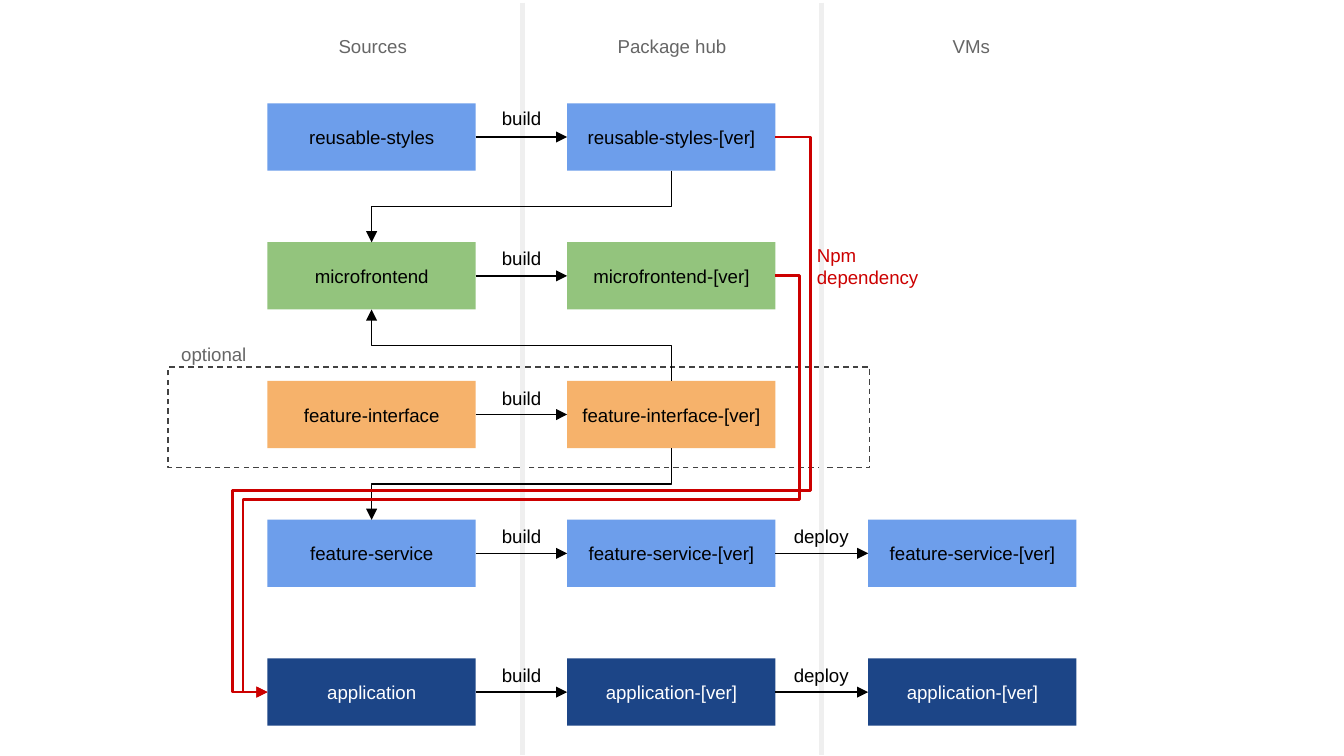
import pptx
import pptx.util
import pptx.dml.color
import pptx.enum.dml
import pptx.enum.shapes
import pptx.enum.text
import pptx.oxml
import pptx.oxml.ns

Inches = pptx.util.Inches
Shapes = pptx.enum.shapes.MSO_SHAPE
Connectors = pptx.enum.shapes.MSO_CONNECTOR
Align = pptx.enum.text.PP_ALIGN
Anchor = pptx.enum.text.MSO_ANCHOR
qn = pptx.oxml.ns.qn

COLORS = {
    "blue": "6D9EEB", "green": "93C47D", "orange": "F6B26B", "navy": "1C4587",
    "black": "000000", "white": "FFFFFF", "gray": "666666",
    "frame": "424242", "divider": "EFEFEF", "red": "CC0000",
}
TOP, BOTTOM, LEFT, RIGHT = 0, 2, 1, 3
COLUMNS = [1.99, 4.22, 6.46]
BOX_WIDTH, BOX_HEIGHT = 1.55, 0.5
FIRST_ROW, LAST_ROW = 0.77, 4.9
STAGES = [
    # name, fill, text colour, number of columns, drop of the step labels
    ("reusable-styles", "blue", "black", 2, 0),
    ("microfrontend", "green", "black", 2, 0.01),
    ("feature-interface", "orange", "black", 2, 0.02),
    ("feature-service", "blue", "black", 3, 0.01),
    ("application", "navy", "white", 3, 0.01),
]
STEPS = ["build", "deploy"]


def rgb(name):
    return pptx.dml.color.RGBColor.from_string(COLORS[name])


def write(shape, text, color, align=Align.CENTER, anchor=Anchor.MIDDLE):
    frame = shape.text_frame
    frame.auto_size = pptx.enum.text.MSO_AUTO_SIZE.NONE
    frame.word_wrap = True
    frame.vertical_anchor = anchor
    frame.margin_left = frame.margin_right = Inches(0.1)
    frame.margin_top = frame.margin_bottom = Inches(0.1)
    para = frame.paragraphs[0]
    para.alignment = align
    span = para.add_run()
    span.text = text
    span.font.name = "Arial"
    span.font.size = pptx.util.Pt(10)
    span.font.color.rgb = rgb(color)


def add_label(page, box, text, color, **layout):
    write(page.shapes.add_textbox(*map(Inches, box)), text, color, **layout)


def add_box(page, box, text, fill, color):
    shape = page.shapes.add_shape(Shapes.RECTANGLE, *map(Inches, box))
    shape.shadow.inherit = False
    shape.fill.solid()
    shape.fill.fore_color.rgb = rgb(fill)
    shape.line.fill.background()
    write(shape, text, color)
    return shape


def add_line(page, kind, ends, color, weight, arrow=None):
    """Add a connector; arrow is None, "headEnd" (start) or "tailEnd" (finish)."""
    line = page.shapes.add_connector(kind, *ends)
    line.line.color.rgb = rgb(color)
    line.line.width = pptx.util.Pt(weight)
    properties = line.element.spPr
    if arrow:
        tip = pptx.oxml.parse_xml(
            f'<a:{arrow} {pptx.oxml.ns.nsdecls("a")} type="triangle"/>')
        properties.find(qn("a:ln")).append(tip)
    properties.append(pptx.oxml.parse_xml(
        f'<a:effectLst {pptx.oxml.ns.nsdecls("a")}/>'))
    return line


def join(page, kind, start, start_side, end, end_side, color="black",
         weight=0.75, arrow="tailEnd"):
    line = add_line(page, kind, (0, 0, 0, 0), color, weight, arrow)
    line.begin_connect(start, start_side)
    line.end_connect(end, end_side)
    return line


def join_down(page, upper, lower, arrow="tailEnd"):
    """Bend from the bottom of one box to the top of a lower one."""
    line = join(page, Connectors.ELBOW, upper, BOTTOM, lower, TOP, arrow=arrow)
    goes_right = line.end_x > line.begin_x
    center_x = (line.begin_x + line.end_x) // 2
    center_y = (line.begin_y + line.end_y) // 2
    across, down = line.width, line.height
    line.left, line.top = center_x - down // 2, center_y - across // 2
    line.width, line.height = down, across
    frame = line.element.spPr.find(qn("a:xfrm"))
    frame.set("rot", str((270 if goes_right else 90) * 60000))
    frame.set("flipH", "1" if goes_right else "0")


def join_around(page, start, end, lane, crossing):
    """Loop from a right side to a left side, lane inches clear of both."""
    line = join(page, Connectors.ELBOW, start, RIGHT, end, LEFT, "red", 1.5)
    side = Inches(lane) / line.width
    middle = (Inches(crossing) - line.begin_y) / line.height
    geometry = line.element.spPr.find(qn("a:prstGeom"))
    geometry.set("prst", "bentConnector5")
    guides = geometry.get_or_add_avLst()
    for number, value in enumerate((-side, middle, 1 + side), 1):
        guides.append(pptx.oxml.parse_xml(
            f'<a:gd {pptx.oxml.ns.nsdecls("a")} name="adj{number}" '
            f'fmla="val {round(value * 100000)}"/>'))


def add_columns(page, box):
    """Headings over equal columns, with a divider between neighbours."""
    left, top, width, height = box
    names = ["Sources", "Package hub", "VMs"]
    step = width / len(names)
    for index, name in enumerate(names):
        x = left + index * step
        if index:
            ends = map(Inches, (x, top, x, top + height))
            add_line(page, Connectors.STRAIGHT, ends, "divider", 3)
        add_label(page, (x, top + 0.18, step, 0.28), name, "gray")


def add_optional_frame(page, box):
    left, top, width, height = box
    frame = page.shapes.add_shape(Shapes.RECTANGLE, *map(Inches, box))
    frame.shadow.inherit = False
    frame.fill.background()
    frame.line.color.rgb = rgb("frame")
    frame.line.width = pptx.util.Pt(0.75)
    frame.line.dash_style = pptx.enum.dml.MSO_LINE.DASH
    add_label(page, (left, top - 0.28, 0.81, 0.28), "optional", "gray",
              align=Align.LEFT, anchor=Anchor.TOP)


def add_stage(page, top, stage):
    """One row of boxes joined by labelled arrows; returns the boxes."""
    name, fill, color, count, drop = stage
    boxes = []
    for index, left in enumerate(COLUMNS[:count]):
        text = f"{name}-[ver]" if index else name
        boxes.append(add_box(page, (left, top, BOX_WIDTH, BOX_HEIGHT),
                             text, fill, color))
    for step, left, start, end in zip(STEPS, COLUMNS, boxes, boxes[1:]):
        join(page, Connectors.STRAIGHT, start, RIGHT, end, LEFT)
        add_label(page, (left + BOX_WIDTH, top + drop, 0.68, 0.22), step, "black")
    return boxes


def main():
    deck = pptx.Presentation()
    deck.slide_width = Inches(10)
    deck.slide_height = deck.slide_width * 9 // 16
    page = deck.slides.add_slide(deck.slide_layouts[6])

    add_optional_frame(page, (1.25, 2.73, 5.22, 0.75))
    add_columns(page, (1.66, 0.02, 6.68, 5.6))
    pitch = (LAST_ROW - FIRST_ROW) / (len(STAGES) - 1)
    styles, frontend, interface, service, application = [
        add_stage(page, FIRST_ROW + row * pitch, stage)
        for row, stage in enumerate(STAGES)]

    join_down(page, styles[1], frontend[0])
    join_down(page, frontend[0], interface[1], arrow="headEnd")
    join_down(page, interface[1], service[0])
    join_around(page, frontend[1], application[0], 0.18, 3.72)
    join_around(page, styles[1], application[0], 0.26, 3.65)
    add_label(page, (5.98, 1.8, 0.97, 0.36), "Npm dependency", "red",
              align=Align.LEFT)
    deck.save("out.pptx")


if __name__ == "__main__":
    main()
